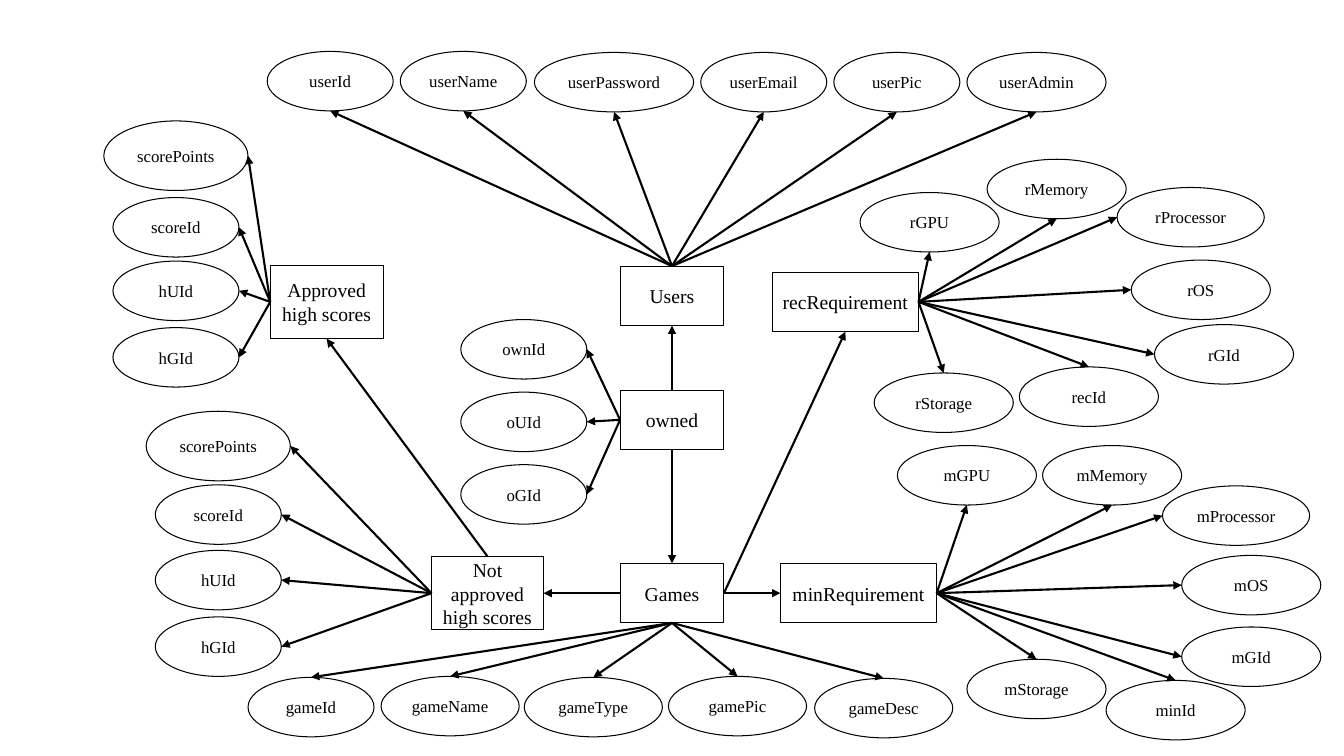
import pptx
import pptx.util
import pptx.dml.color
import pptx.enum.shapes
import pptx.enum.text
import pptx.oxml.ns
import lxml.etree
from dataclasses import dataclass

Inches, Pt = pptx.util.Inches, pptx.util.Pt
KIND = pptx.enum.shapes.MSO_SHAPE
COLORS = {"ink": "000000"}
FONT = "Times New Roman"
# Share of width and height at each side's midpoint
SIDES = {"top": (0.5, 0), "left": (0, 0.5), "bottom": (0.5, 1), "right": (1, 0.5)}
ORDER = list(SIDES)


@dataclass
class Node:
    text: str
    x: float
    y: float
    w: float = 1.25
    h: float = 0.59
    side: str = "left"


@dataclass
class Fan:
    box: str
    start: str
    ovals: list[Node]


@dataclass
class Link:
    tail: str
    start: str
    head: str
    end: str


# Entities
BOXES = [
    Node("Users", 6.15, 2.64, 1.03),
    Node("owned", 6.15, 3.87, 1.03),
    Node("Games", 6.15, 5.59, 1.03),
    Node("Not approved high scores", 4.28, 5.52, 1.11, 0.73),
    Node("Approved high scores", 2.68, 2.63, 1.12, 0.73),
    Node("minRequirement", 7.74, 5.59, 1.55),
    Node("recRequirement", 7.66, 2.7, 1.45),
]


def scores(x: float, y: float, gaps: list[float]) -> list[Node]:
    """Column of score attributes under a larger first oval."""
    names = ["scoreId", "hUId", "hGId"]
    first = Node("scorePoints", x - 0.09, y, 1.43, 0.69, "right")
    return [first] + [Node(n, x, y + g, side="right") for n, g in zip(names, gaps)]


# Attributes around each entity
FANS = [
    Fan("Users", "top", [
        Node("userId", 2.65, 0.51, side="bottom"),
        Node("userName", 3.97, 0.51, side="bottom"),
        Node("userPassword", 5.3, 0.52, 1.58, side="bottom"),
        Node("userEmail", 6.95, 0.52, side="bottom"),
        Node("userPic", 8.27, 0.52, side="bottom"),
        Node("userAdmin", 9.59, 0.52, 1.38, side="bottom"),
    ]),
    Fan("owned", "left", [
        Node(name, 4.57, 3.17 + 0.72 * i, side="right")
        for i, name in enumerate(["ownId", "oUId", "oGId"])
    ]),
    Fan("Games", "bottom", [
        Node("gameId", 2.46, 6.72, side="top"),
        Node("gameName", 3.78, 6.71, 1.37, side="top"),
        Node("gameType", 5.2, 6.72, 1.37, side="top"),
        Node("gamePic", 6.63, 6.71, 1.37, side="top"),
        Node("gameDesc", 8.08, 6.73, 1.37, side="top"),
    ]),
    Fan("Not approved high scores", "left", scores(1.54, 4.08, [0.73, 1.38, 2.04])),
    Fan("Approved high scores", "left", scores(1.12, 1.2, [0.76, 1.39, 2.05])),
    Fan("minRequirement", "right", [
        Node("mGPU", 8.9, 4.42, 1.38, side="bottom"),
        Node("mMemory", 10.34, 4.42, 1.38, side="bottom"),
        Node("mProcessor", 11.53, 4.82, 1.46),
        Node("mOS", 11.72, 5.51, 1.38),
        Node("mGId", 11.72, 6.22, 1.38),
        Node("minId", 10.97, 6.75, 1.38, side="top"),
        Node("mStorage", 9.59, 6.54, 1.38, side="top"),
    ]),
    Fan("recRequirement", "right", [
        Node("rGPU", 8.53, 1.91, 1.38, side="bottom"),
        Node("rMemory", 9.79, 1.58, 1.38, side="bottom"),
        Node("rProcessor", 11.08, 1.86, 1.46),
        Node("rOS", 11.22, 2.58, 1.38),
        Node("rGId", 11.45, 3.22, 1.38),
        Node("recId", 10.11, 3.64, 1.38, side="top"),
        Node("rStorage", 8.67, 3.7, 1.38, side="top"),
    ]),
]

# Relations between entities
LINKS = [
    Link("owned", "top", "Users", "bottom"),
    Link("owned", "bottom", "Games", "top"),
    Link("Games", "left", "Not approved high scores", "right"),
    Link("Games", "right", "minRequirement", "left"),
    Link("Games", "right", "recRequirement", "bottom"),
    Link("Not approved high scores", "top", "Approved high scores", "bottom"),
]


def color(name: str) -> pptx.dml.color.RGBColor:
    return pptx.dml.color.RGBColor.from_string(COLORS[name])


def write(shape, text: str, size: float, font: str = FONT, ink: str = "ink") -> None:
    frame = shape.text_frame
    frame.word_wrap = True
    frame.vertical_anchor = pptx.enum.text.MSO_ANCHOR.MIDDLE
    frame.margin_left = frame.margin_right = Inches(0.08)
    line = frame.paragraphs[0]
    line.alignment = pptx.enum.text.PP_ALIGN.CENTER
    run = line.add_run()
    run.text = text
    run.font.name, run.font.size = font, Pt(size)
    run.font.color.rgb = color(ink)


def draw(slide, node: Node, kind, size: float):
    shape = slide.shapes.add_shape(
        kind, Inches(node.x), Inches(node.y), Inches(node.w), Inches(node.h))
    shape.shadow.inherit = False
    shape.fill.background()
    shape.line.color.rgb = color("ink")
    shape.line.width = Pt(0.75)
    write(shape, node.text, size)
    return shape


def point(shape, side: str) -> tuple[int, int]:
    across, down = SIDES[side]
    return (int(shape.left + across * shape.width),
            int(shape.top + down * shape.height))


def site(shape, side: str) -> int:
    """Ellipses have eight connection sites, rectangles four."""
    step = 2 if shape.auto_shape_type == KIND.OVAL else 1
    return ORDER.index(side) * step


def join(slide, tail, start: str, head, end: str) -> None:
    a, b = point(tail, start), point(head, end)
    arrow = slide.shapes.add_connector(
        pptx.enum.shapes.MSO_CONNECTOR.STRAIGHT, *a, *b)
    arrow.line.color.rgb = color("ink")
    arrow.line.width = Pt(1.5)
    qn = pptx.oxml.ns.qn
    props = arrow._element.spPr
    lxml.etree.SubElement(props.find(qn("a:ln")), qn("a:tailEnd"), type="triangle")
    lxml.etree.SubElement(props, qn("a:effectLst"))
    # Glue both ends to their shapes
    glue = arrow._element.nvCxnSpPr.cNvCxnSpPr
    for tag, shape, side in (("a:stCxn", tail, start), ("a:endCxn", head, end)):
        lxml.etree.SubElement(glue, qn(tag), id=str(shape.shape_id),
                              idx=str(site(shape, side)))


deck = pptx.Presentation()
deck.slide_width, deck.slide_height = Inches(13.33), Inches(7.5)
slide = deck.slides.add_slide(deck.slide_layouts[6])

boxes = {node.text: draw(slide, node, KIND.RECTANGLE, 14) for node in BOXES}
for fan in FANS:
    for node in fan.ovals:
        oval = draw(slide, node, KIND.OVAL, 12)
        join(slide, boxes[fan.box], fan.start, oval, node.side)
for link in LINKS:
    join(slide, boxes[link.tail], link.start, boxes[link.head], link.end)

deck.save("out.pptx")
